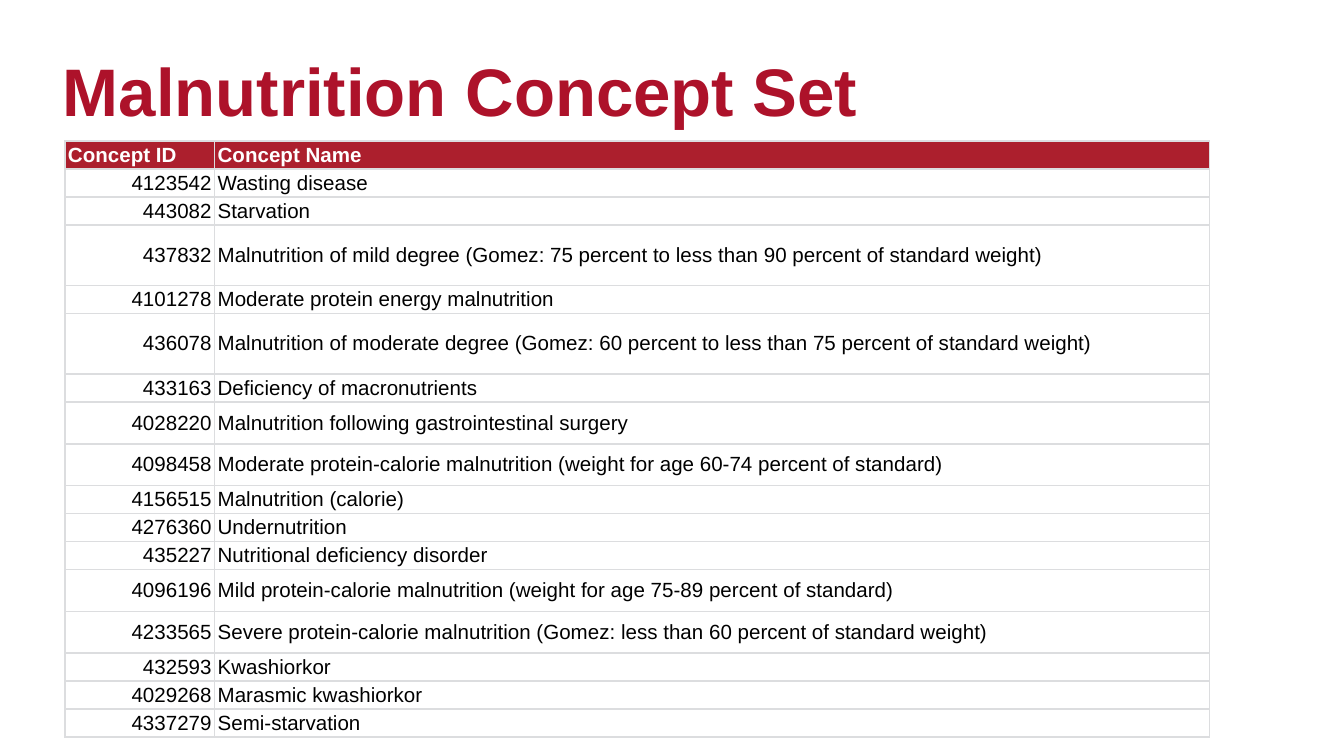
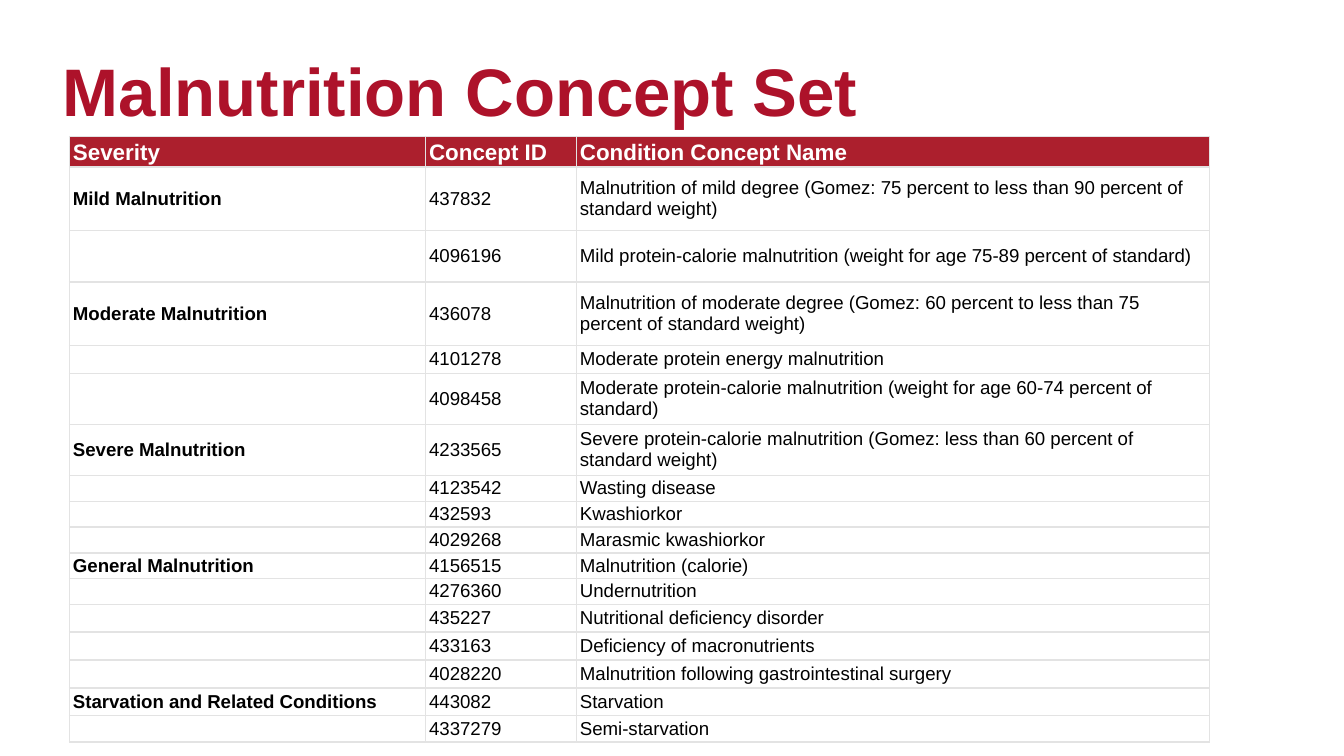
from collections import namedtuple

from lxml.etree import SubElement
from pptx import Presentation
from pptx.dml.color import RGBColor
from pptx.enum.text import MSO_ANCHOR, PP_ALIGN
from pptx.oxml.ns import qn
from pptx.util import Pt

TITLE_RED = RGBColor(0xAD, 0x12, 0x2A)
HEADER_RED = RGBColor(0xAC, 0x1F, 0x2D)
WHITE = RGBColor(0xFF, 0xFF, 0xFF)
BLACK = RGBColor(0x00, 0x00, 0x00)
CONCEPT_RULE = RGBColor(0xDC, 0xDD, 0xDF)
SEVERITY_RULE = RGBColor(0xE3, 0xE3, 0xE3)
FONT = "Arial"

Box = namedtuple("Box", "left top width height")
TableStyle = namedtuple(
    "TableStyle",
    "header_size body_size header_anchor side_inset rule upright_width body_fill")

TITLE_BOX = Box(26.64, 14.4, 621.36, 72.72)
CONCEPT_BOX = Box(34.8, 75.6, 613.2, 323.28)
SEVERITY_BOX = Box(37.2, 73.2, 610.8, 325.44)

CONCEPT_STYLE = TableStyle(11, 11, MSO_ANCHOR.MIDDLE, 1.6, CONCEPT_RULE, 1, None)
SEVERITY_STYLE = TableStyle(12, 10, MSO_ANCHOR.BOTTOM, 1.9, SEVERITY_RULE, 0.75, WHITE)

CONCEPTS = {
    "4123542": "Wasting disease",
    "443082": "Starvation",
    "437832": "Malnutrition of mild degree (Gomez: 75 percent to less than 90 percent of standard weight)",
    "4101278": "Moderate protein energy malnutrition",
    "436078": "Malnutrition of moderate degree (Gomez: 60 percent to less than 75 percent of standard weight)",
    "433163": "Deficiency of macronutrients",
    "4028220": "Malnutrition following gastrointestinal surgery",
    "4098458": "Moderate protein-calorie malnutrition (weight for age 60-74 percent of standard)",
    "4156515": "Malnutrition (calorie)",
    "4276360": "Undernutrition",
    "435227": "Nutritional deficiency disorder",
    "4096196": "Mild protein-calorie malnutrition (weight for age 75-89 percent of standard)",
    "4233565": "Severe protein-calorie malnutrition (Gomez: less than 60 percent of standard weight)",
    "432593": "Kwashiorkor",
    "4029268": "Marasmic kwashiorkor",
    "4337279": "Semi-starvation",
}
SEVERITIES = {
    "Mild Malnutrition": ["437832", "4096196"],
    "Moderate Malnutrition": ["436078", "4101278", "4098458"],
    "Severe Malnutrition": ["4233565", "4123542", "432593", "4029268"],
    "General Malnutrition": ["4156515", "4276360", "435227", "433163", "4028220"],
    "Starvation and Related Conditions": ["443082", "4337279"],
}
CONCEPT_HEIGHTS = {
    "437832": 32.4, "436078": 32.4,
    "4028220": 22.4, "4098458": 22.4, "4096196": 22.4, "4233565": 22.4,
}
SEVERITY_HEIGHTS = [15.4, 34.2, 27.4, 34.2, 14.9, 27.4, 27.4,
                    *[8.64] * 5, *[14.9] * 4, 14.2]


def set_font(paragraph, size, color, bold):
    font = paragraph.font
    font.name = FONT
    font.size = Pt(size)
    font.bold = bold
    font.color.rgb = color


def add_title(slide, box, text):
    frame = slide.shapes.add_textbox(*map(Pt, box)).text_frame
    frame.word_wrap = True
    frame.vertical_anchor = MSO_ANCHOR.MIDDLE
    frame.margin_left = frame.margin_right = Pt(7.2)
    frame.margin_top = frame.margin_bottom = 0
    paragraph = frame.paragraphs[0]
    paragraph.text = text
    paragraph.line_spacing = 0.9
    set_font(paragraph, 36, TITLE_RED, True)


def add_borders(cell, color, upright_width):
    properties = cell._tc.get_or_add_tcPr()
    sides = {"a:lnL": upright_width, "a:lnR": upright_width, "a:lnT": 1, "a:lnB": 1}
    for side, width in sides.items():
        line = SubElement(properties, qn(side), w=str(Pt(width)))
        fill = SubElement(line, qn("a:solidFill"))
        SubElement(fill, qn("a:srgbClr"), val=str(color))


def fill_cell(cell, text, style, is_header, bold, align):
    size = style.header_size if is_header else style.body_size
    add_borders(cell, style.rule, style.upright_width)
    fill_color = HEADER_RED if is_header else style.body_fill
    if fill_color is None:
        cell.fill.background()
    else:
        cell.fill.solid()
        cell.fill.fore_color.rgb = fill_color
    cell.vertical_anchor = style.header_anchor if is_header else MSO_ANCHOR.MIDDLE
    cell.margin_left = cell.margin_right = Pt(style.side_inset)
    cell.margin_top = cell.margin_bottom = Pt(0.9)
    paragraph = cell.text_frame.paragraphs[0]
    paragraph.alignment = align
    set_font(paragraph, size, WHITE if is_header else BLACK, bold)
    if text:
        paragraph.text = text
    else:
        SubElement(paragraph._p, qn("a:endParaRPr"), sz=str(size * 100))


def add_concept_table(slide, box, style, rows, widths, heights,
                      bold_column=None, right_column=None):
    graphic = slide.shapes.add_table(len(rows), len(widths), *map(Pt, box))
    table = graphic.table
    table.first_row = table.horz_banding = False
    for column, width in zip(table.columns, widths):
        column.width = Pt(width)
    for row_index, (row, height) in enumerate(zip(rows, heights)):
        table.rows[row_index].height = Pt(height)
        is_header = row_index == 0
        for column_index, text in enumerate(row):
            right = column_index == right_column and not is_header
            fill_cell(table.cell(row_index, column_index), text, style, is_header,
                      is_header or column_index == bold_column,
                      PP_ALIGN.RIGHT if right else PP_ALIGN.LEFT)
    graphic.height = Pt(box.height)


def add_slide(deck):
    slide = deck.slides.add_slide(deck.slide_layouts[6])
    add_title(slide, TITLE_BOX, "Malnutrition Concept Set")
    return slide


def build_concept_slide(deck):
    rows = [("Concept ID", "Concept Name"), *CONCEPTS.items()]
    heights = [CONCEPT_HEIGHTS.get(concept_id, 12.24) for concept_id, _ in rows]
    add_concept_table(add_slide(deck), CONCEPT_BOX, CONCEPT_STYLE, rows,
                      [80.2, 533], heights, right_column=0)


def build_severity_slide(deck):
    rows = [("Severity", "Concept ID", "Condition Concept Name")]
    for severity, concept_ids in SEVERITIES.items():
        for position, concept_id in enumerate(concept_ids):
            rows.append(("" if position else severity, concept_id, CONCEPTS[concept_id]))
    add_concept_table(add_slide(deck), SEVERITY_BOX, SEVERITY_STYLE, rows,
                      [190.8, 80.8, 339.2], SEVERITY_HEIGHTS, bold_column=0)


def main():
    deck = Presentation()
    deck.slide_width = Pt(720)
    deck.slide_height = Pt(405)
    build_concept_slide(deck)
    build_severity_slide(deck)
    deck.save("out.pptx")


if __name__ == "__main__":
    main()
